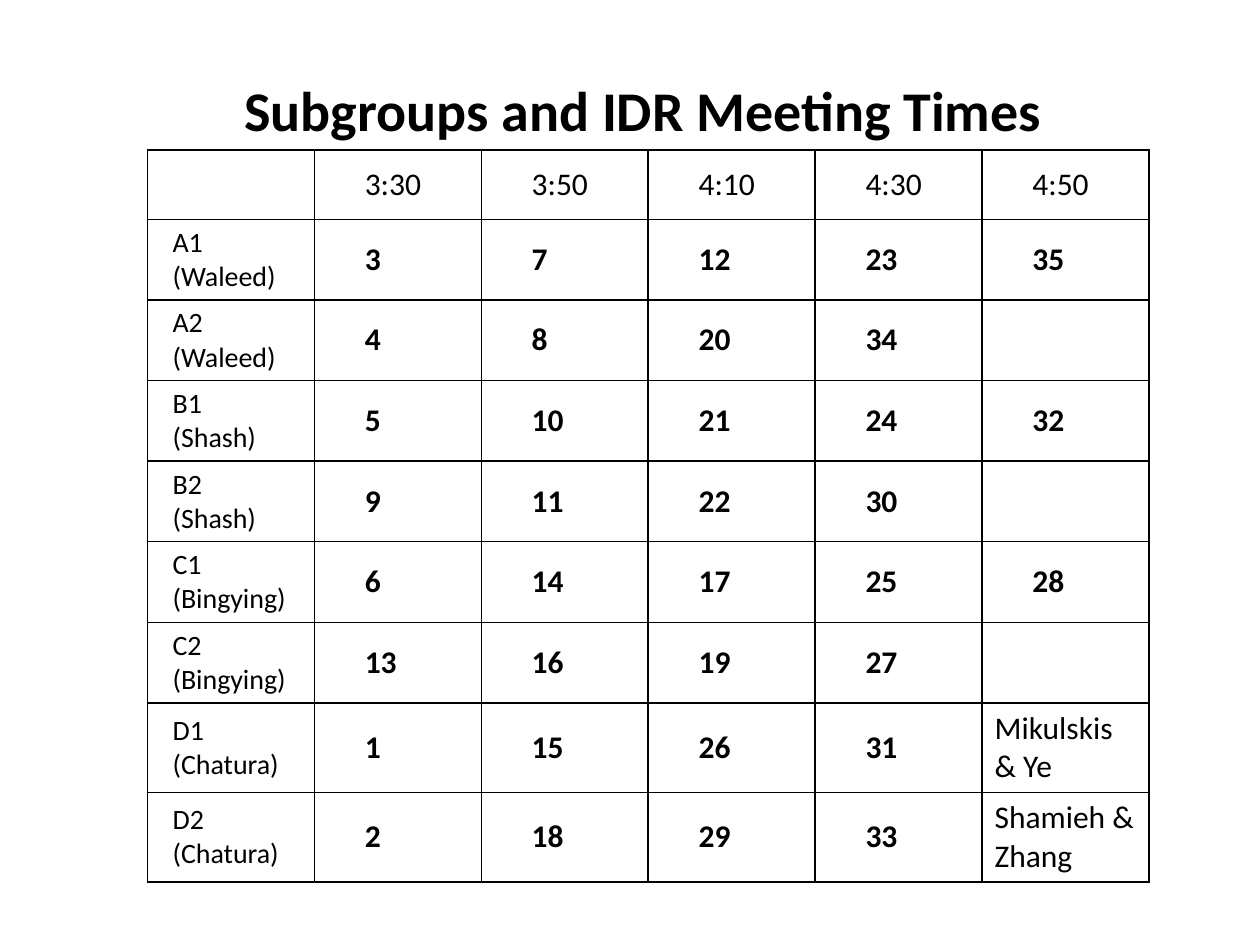
from lxml.etree import SubElement
from pptx import Presentation
from pptx.dml.color import RGBColor
from pptx.enum.text import MSO_ANCHOR, MSO_AUTO_SIZE, PP_ALIGN
from pptx.oxml.ns import qn
from pptx.util import Inches, Pt

COLORS = {"text": "000000", "border": "000000", "background": "FFFFFF"}
FONT = "Calibri"
TIMES = ["", "3:30", "3:50", "4:10", "4:30", "4:50"]
SUBGROUPS = [
    ["A1 (Waleed)", "3", "7", "12", "23", "35"],
    ["A2\n(Waleed)", "4", "8", "20", "34", ""],
    ["B1\n(Shash)", "5", "10", "21", "24", "32"],
    ["B2\n(Shash)", "9", "11", "22", "30", ""],
    ["C1\n(Bingying)", "6", "14", "17", "25", "28"],
    ["C2\n(Bingying)", "13", "16", "19", "27", ""],
    ["D1\n(Chatura)", "1", "15", "26", "31", "Mikulskis\n& Ye"],
    ["D2\n(Chatura)", "2", "18", "29", "33", "Shamieh & Zhang"],
]
ROW_HEIGHTS = [0.55] + [0.64] * 6 + [0.71] * 2


def write_text(text_frame, text, size=18, bold=False, align=PP_ALIGN.LEFT):
    text_frame.text = text
    for paragraph in text_frame.paragraphs:
        paragraph.alignment = align
        paragraph.font.size = Pt(size)
        for run in paragraph.runs:
            run.font.name = FONT
            run.font.size = Pt(size)
            run.font.bold = bold
            run.font.color.rgb = RGBColor.from_string(COLORS["text"])


def add_borders(cell, width=1):
    properties = cell._tc.get_or_add_tcPr()
    for position, side in enumerate(("a:lnL", "a:lnR", "a:lnT", "a:lnB")):
        line = properties.makeelement(qn(side), {"w": str(Pt(width))})
        fill = SubElement(line, qn("a:solidFill"))
        SubElement(fill, qn("a:srgbClr"), val=COLORS["border"])
        properties.insert(position, line)


presentation = Presentation()
presentation.slide_width = Inches(10)
presentation.slide_height = Inches(7.5)
slide = presentation.slides.add_slide(presentation.slide_layouts[5])
slide.background.fill.solid()
slide.background.fill.fore_color.rgb = RGBColor.from_string(COLORS["background"])

# Title
title = slide.shapes.title
title.left, title.top = Inches(1.39), Inches(0.55)
title.width, title.height = Inches(7.43), Inches(0.64)
title.text_frame.word_wrap = True
title.text_frame.auto_size = MSO_AUTO_SIZE.SHAPE_TO_FIT_TEXT
title.text_frame.vertical_anchor = MSO_ANCHOR.TOP
write_text(title.text_frame, "Subgroups and IDR Meeting Times",
           size=32, bold=True, align=PP_ALIGN.CENTER)

# Meeting schedule
rows = [TIMES] + SUBGROUPS
table = slide.shapes.add_table(len(rows), len(TIMES), Inches(1.17), Inches(1.19),
                               Inches(7.95), Inches(sum(ROW_HEIGHTS))).table
table.first_row = False
table.horz_banding = False
for row, height in zip(table.rows, ROW_HEIGHTS):
    row.height = Inches(height)

# Cells: subgroup names, meeting numbers and pairs of surnames
for row_index, values in enumerate(rows):
    for column_index, text in enumerate(values):
        cell = table.cell(row_index, column_index)
        is_subgroup = column_index == 0
        is_number = text.isdigit()
        cell.vertical_anchor = MSO_ANCHOR.MIDDLE
        if is_subgroup:
            cell.margin_left = Inches(0.2)
        elif is_number or row_index == 0:
            cell.margin_left = Inches(0.4)
        cell.fill.solid()
        cell.fill.fore_color.rgb = RGBColor.from_string(COLORS["background"])
        add_borders(cell)
        write_text(cell.text_frame, text, size=16 if is_subgroup else 18, bold=is_number)

presentation.save("out.pptx")
